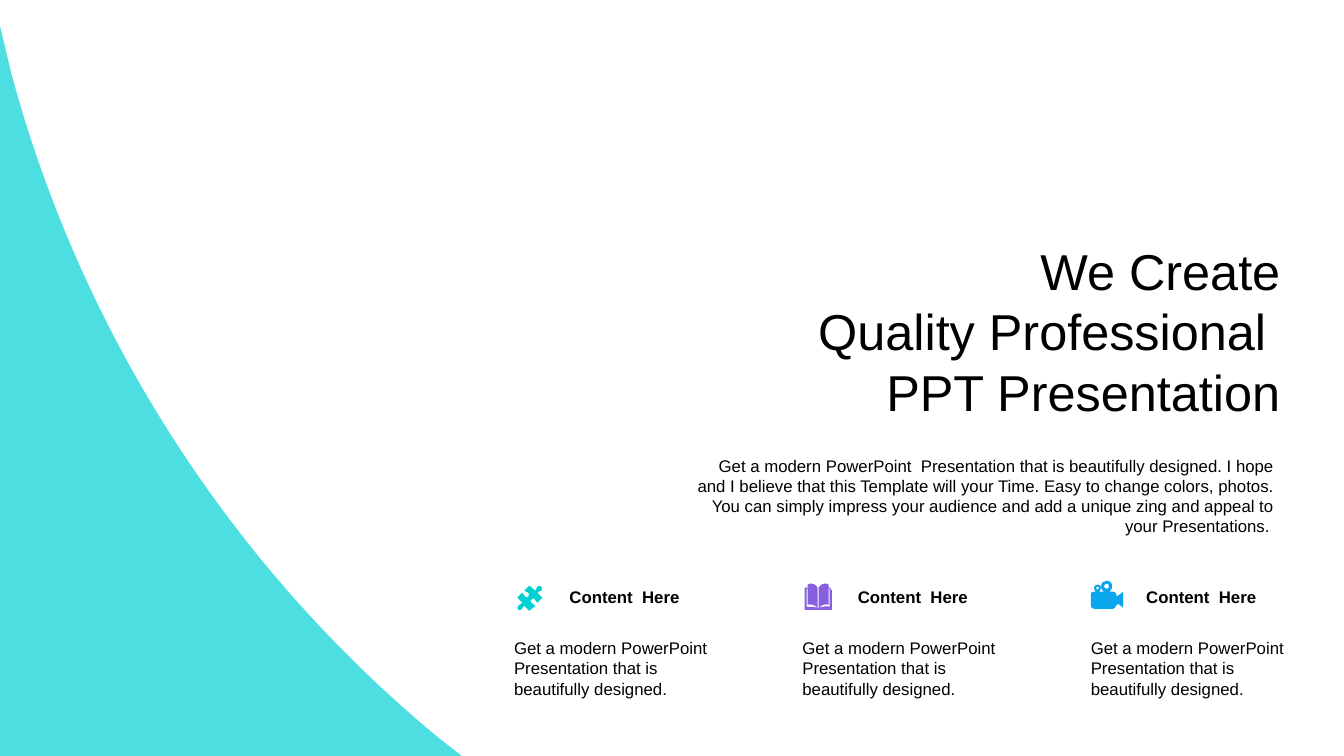
from dataclasses import dataclass

from lxml import etree
from pptx import Presentation
from pptx.dml.color import RGBColor
from pptx.enum.shapes import MSO_SHAPE
from pptx.enum.text import MSO_ANCHOR, MSO_AUTO_SIZE, PP_ALIGN
from pptx.oxml.ns import qn
from pptx.shapes.autoshape import Shape
from pptx.slide import Slide
from pptx.util import Inches, Pt

LEFT, RIGHT = PP_ALIGN.LEFT, PP_ALIGN.RIGHT
TOP, MIDDLE = MSO_ANCHOR.TOP, MSO_ANCHOR.MIDDLE
FIT_SHAPE = MSO_AUTO_SIZE.SHAPE_TO_FIT_TEXT
OVAL = MSO_SHAPE.OVAL

TEAL = RGBColor(0x01, 0xD1, 0xD3)
PURPLE = RGBColor(0x87, 0x5F, 0xDF)
BLUE = RGBColor(0x0A, 0xA6, 0xED)
BLACK = RGBColor(0x00, 0x00, 0x00)
WHITE = RGBColor(0xFF, 0xFF, 0xFF)

SLIDE_WIDTH, SLIDE_HEIGHT = 13.33, 7.5
FONT = "Arial"
TITLE = "We Create\nQuality Professional \nPPT Presentation"
INTRO = (
    "Get a modern PowerPoint  Presentation that is beautifully designed. "
    "I hope and I believe that this Template will your Time. Easy to change "
    "colors, photos. You can simply impress your audience and add a unique "
    "zing and appeal to your Presentations. "
)
HEADING = "Content  Here"
DETAIL = "Get a modern PowerPoint  Presentation that is beautifully designed."

# Feature grid, in inches
FIRST_COLUMN, COLUMN_PITCH, FEATURE_ROW = 5.0, 2.86, 5.66
BADGE_SIZE = 0.51
HEADING_OFFSET = (0.55, 0.11)
DETAIL_OFFSET = (0.0, 0.62)

# Outlines use path commands M, L and C, in hundredths of an inch
SWOOSH = "M 0 26 L 11 72 C 80 329 228 561 435 732 L 458 750 L 0 750"
PUZZLE = (
    "M 37 16 C 38 17 38 18 37 20 C 36 21 34 20 33 22 L 38 27 L 33 32 "
    "C 31 31 32 30 30 28 C 29 27 28 28 27 29 C 26 29 26 31 27 32 "
    "C 29 34 29 33 31 35 L 25 40 L 20 35 C 18 36 19 37 18 38 "
    "C 17 40 15 39 14 39 C 13 38 13 36 14 35 C 15 33 17 34 18 32 "
    "L 13 27 L 18 22 C 20 23 19 25 21 26 C 22 27 23 27 24 26 "
    "C 25 25 25 23 24 22 C 23 21 22 22 20 20 L 25 15 L 31 20 "
    "C 33 18 31 18 33 16 C 34 15 36 15 37 16"
)
BOOK = (
    "M 25 37 L 26 37 C 30 36 33 35 37 36 L 37 18 L 36 18 L 36 34 "
    "C 33 33 29 34 26 37 L 26 17 C 28 14 30 13 32 13 C 33 13 35 13 36 14 "
    "L 36 17 L 38 17 L 38 19 L 39 19 L 39 39 L 12 39 L 12 17 L 15 17 L 15 14 "
    "C 16 13 18 13 19 13 C 21 13 23 14 25 17 L 25 37 C 22 34 18 33 15 34 "
    "L 15 18 L 14 18 L 14 36 C 18 36 21 36 25 37"
)
CAMERA = (
    "M 17 16 C 16 16 15 17 15 17 C 15 18 16 19 17 19 C 17 19 18 18 18 17 "
    "C 18 17 17 16 17 16 "
    "M 26 13 C 24 13 23 14 23 16 C 23 17 24 18 26 18 C 27 18 28 17 28 16 "
    "C 28 14 27 13 26 13 "
    "M 26 10 C 29 10 31 12 31 16 C 31 18 30 20 28 21 L 32 21 "
    "C 33 21 35 22 35 23 L 35 25 L 37 25 L 42 21 L 42 37 L 37 33 "
    "C 37 33 37 34 36 34 L 35 34 L 35 35 C 35 36 33 38 32 38 L 13 38 "
    "C 11 38 10 36 10 35 L 10 23 C 10 22 11 21 13 21 L 15 21 "
    "C 14 20 13 19 13 17 C 13 15 15 14 17 14 C 19 14 20 15 20 17 "
    "C 20 19 19 20 18 21 L 23 21 C 21 20 20 18 20 16 C 20 12 23 10 26 10"
)

Point = tuple[float, float]
Command = tuple[str, list[Point]]


@dataclass(frozen=True)
class Box:
    left: float
    top: float
    width: float
    height: float


@dataclass(frozen=True)
class TextStyle:
    size: int = 12
    bold: bool = False
    align: PP_ALIGN = LEFT
    anchor: MSO_ANCHOR = TOP
    margins: Point = (0.1, 0.05)


@dataclass(frozen=True)
class Feature:
    outline: str
    color: RGBColor


FEATURES = (Feature(PUZZLE, TEAL), Feature(BOOK, PURPLE), Feature(CAMERA, BLUE))


def read_commands(outline: str) -> list[Command]:
    tokens = iter(outline.split())
    return [
        (letter, [(int(next(tokens)), int(next(tokens)))
                  for _ in range(3 if letter == "C" else 1)])
        for letter in tokens
    ]


def bend_curves(shape: Shape, commands: list[Command]) -> None:
    """Join the three vertices of each C command into one Bezier segment."""
    outline = next(shape._element.iter(qn("a:path")))
    vertices = iter([node for node in outline if node.tag != qn("a:close")])
    for letter, points in commands:
        nodes = [next(vertices) for _ in points]
        if letter == "C":
            curve = etree.Element(qn("a:cubicBezTo"))
            nodes[0].addprevious(curve)
            for node in nodes:
                curve.append(node[0])
                outline.remove(node)


def paint(shape: Shape, color: RGBColor) -> None:
    shape.shadow.inherit = False
    shape.fill.solid()
    shape.fill.fore_color.rgb = color
    shape.line.fill.background()


def draw_outline(slide: Slide, outline: str, color: RGBColor,
                 left: float = 0, top: float = 0) -> Shape:
    commands = read_commands(outline)
    start = commands[0][1][0]
    builder = slide.shapes.build_freeform(*start, scale=Inches(0.01))
    for letter, points in commands[1:]:
        if letter == "M":
            builder.add_line_segments([], close=True)
            builder.move_to(*points[0])
        else:
            builder.add_line_segments(points, close=False)
    builder.add_line_segments([], close=True)
    shape = builder.convert_to_shape(Inches(left), Inches(top))
    bend_curves(shape, commands)
    paint(shape, color)
    return shape


def set_opacity(shape: Shape, percent: int) -> None:
    color = shape.fill._xPr.find(qn("a:solidFill"))[0]
    etree.SubElement(color, qn("a:alpha")).set("val", str(percent * 1000))


def write_text(shape: Shape, box: Box, text: str, style: TextStyle) -> None:
    shape.left, shape.top = Inches(box.left), Inches(box.top)
    shape.width, shape.height = Inches(box.width), Inches(box.height)
    frame = shape.text_frame
    frame.text = text
    frame.word_wrap = True
    frame.auto_size = FIT_SHAPE
    frame.vertical_anchor = style.anchor
    frame.margin_left = frame.margin_right = Inches(style.margins[0])
    frame.margin_top = frame.margin_bottom = Inches(style.margins[1])
    for paragraph in frame.paragraphs:
        paragraph.alignment = style.align
        paragraph.space_before = Pt(0)
        for run in paragraph.runs:
            run.font.name = FONT
            run.font.size = Pt(style.size)
            run.font.bold = style.bold
            run.font.color.rgb = BLACK


def remove_bullets(shape: Shape) -> None:
    for paragraph in shape.text_frame.paragraphs:
        properties = paragraph._p.get_or_add_pPr()
        properties.set("marL", "0")
        properties.set("indent", "0")
        etree.SubElement(properties, qn("a:buNone"))


def draw_feature(slide: Slide, feature: Feature, column: int) -> None:
    left = FIRST_COLUMN + column * COLUMN_PITCH
    badge = (left, FEATURE_ROW, BADGE_SIZE, BADGE_SIZE)
    paint(slide.shapes.add_shape(OVAL, *map(Inches, badge)), WHITE)
    texts = (
        (HEADING, HEADING_OFFSET, (1.46, 0.3), TextStyle(bold=True)),
        (DETAIL, DETAIL_OFFSET, (2.21, 0.71), TextStyle()),
    )
    for text, (right, down), size, style in texts:
        text_box = slide.shapes.add_textbox(0, 0, 0, 0)
        write_text(text_box, Box(left + right, FEATURE_ROW + down, *size), text, style)
    draw_outline(slide, feature.outline, feature.color, left, FEATURE_ROW)


def main() -> None:
    presentation = Presentation()
    presentation.slide_width = Inches(SLIDE_WIDTH)
    presentation.slide_height = Inches(SLIDE_HEIGHT)
    slide = presentation.slides.add_slide(presentation.slide_layouts[1])
    title, intro = slide.placeholders
    set_opacity(draw_outline(slide, SWOOSH, TEAL), 70)
    write_text(title, Box(6.82, 2.37, 5.92, 1.82), TITLE,
               TextStyle(36, align=RIGHT, anchor=MIDDLE, margins=(0.04, 0)))
    write_text(intro, Box(6.8, 4.47, 5.94, 0.91), INTRO, TextStyle(align=RIGHT))
    remove_bullets(intro)
    for column, feature in enumerate(FEATURES):
        draw_feature(slide, feature, column)
    presentation.save("out.pptx")


if __name__ == "__main__":
    main()
